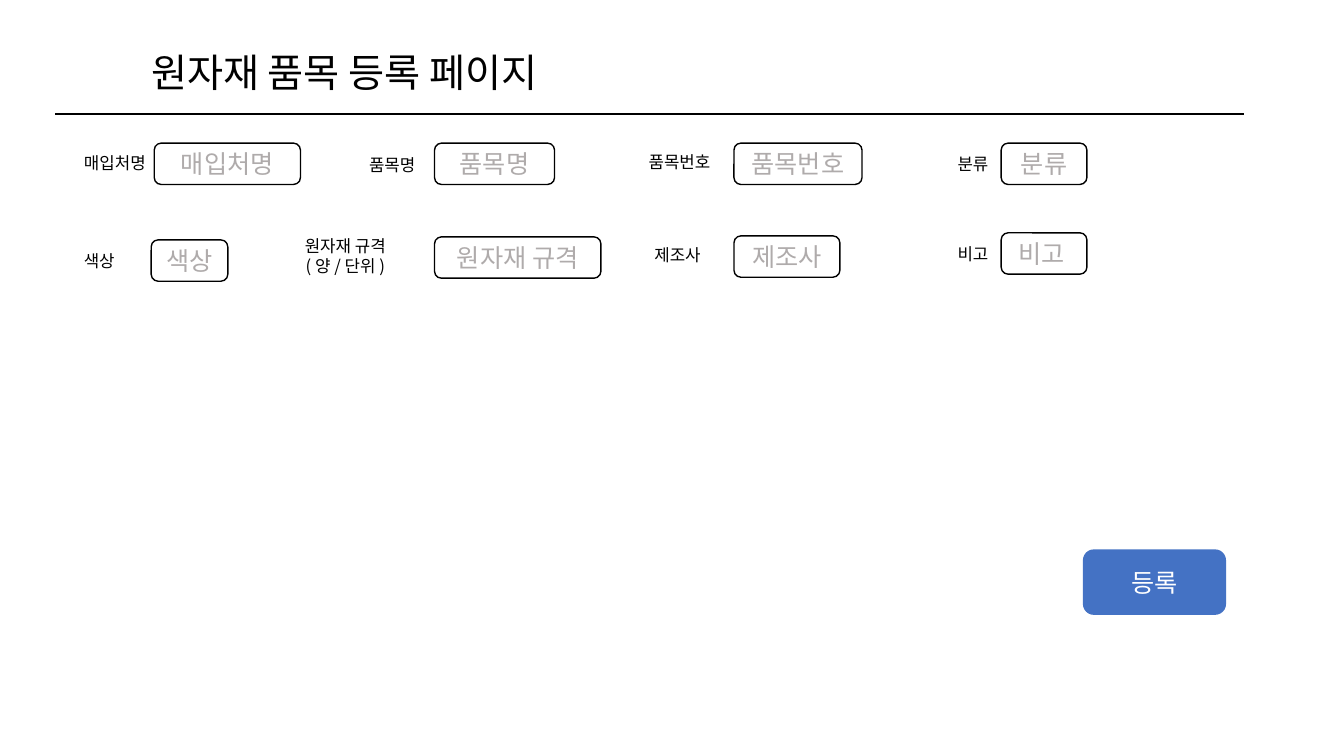
import pptx
import pptx.util
import pptx.dml.color
import pptx.enum.shapes
import pptx.enum.text
import lxml.etree

INK = {"black": "000000", "white": "FFFFFF", "gray": "AFABAB", "blue": "4472C4"}
FONT = "Noto Sans CJK KR"
NS = "{http://schemas.openxmlformats.org/drawingml/2006/main}"
Inches, Pt = pptx.util.Inches, pptx.util.Pt
ALIGN = pptx.enum.text.PP_ALIGN
TALL = 0.41


class Page:
    def __init__(self, deck):
        self.slide = deck.slides.add_slide(deck.slide_layouts[6])
        self.shapes = self.slide.shapes

    def color(self, name):
        return pptx.dml.color.RGBColor.from_string(INK[name])

    def label_text(self, frame, text, size, ink, align):
        frame.word_wrap = True
        para = frame.paragraphs[0]
        para.text = text
        para.alignment = align
        para.line_spacing = Pt(1.2 * size)
        font = para.font
        font.size = Pt(size)
        font.color.rgb = self.color(ink)
        font.name = FONT
        # East Asian typeface, next to the Latin one
        lxml.etree.SubElement(font._element, NS + "ea", typeface=FONT)

    def title(self, text, x, y, w, h):
        box = self.shapes.add_textbox(Inches(x), Inches(y), Inches(w), Inches(h))
        self.label_text(box.text_frame, text, 28, "black", ALIGN.LEFT)
        box.text_frame.auto_size = pptx.enum.text.MSO_AUTO_SIZE.SHAPE_TO_FIT_TEXT

    def rule(self, x, y, end):
        line = self.shapes.add_connector(
            pptx.enum.shapes.MSO_CONNECTOR.STRAIGHT,
            Inches(x), Inches(y), Inches(end), Inches(y))
        line.line.color.rgb = self.color("black")
        line.line.width = Pt(1.5)
        lxml.etree.SubElement(line._element.spPr, NS + "effectLst")

    def box(self, text, x, y, w, h=TALL, size=18, ink="black", fill=None, edge=None):
        box = self.shapes.add_shape(
            pptx.enum.shapes.MSO_SHAPE.ROUNDED_RECTANGLE,
            Inches(x), Inches(y), Inches(w), Inches(h))
        box.shadow.inherit = False
        if fill:
            box.fill.solid()
            box.fill.fore_color.rgb = self.color(fill)
        else:
            box.fill.background()
        if edge:
            box.line.color.rgb = self.color(edge)
            box.line.width = Pt(1)
        else:
            box.line.fill.background()
        box.text_frame.vertical_anchor = pptx.enum.text.MSO_ANCHOR.MIDDLE
        self.label_text(box.text_frame, text, size, ink, ALIGN.CENTER)

    def field(self, text, x, y, w):
        self.box(text, x, y, w, ink="gray", fill="white", edge="black")

    def label(self, text, x, y, w):
        self.box(text, x, y, w, size=12)


# Entry fields and labels: text, left, top, width
FIELDS = [
    ("매입처명", 1.53, 1.42, 1.45),
    ("품목명", 4.31, 1.42, 1.19),
    ("품목번호", 7.28, 1.42, 1.27),
    ("분류", 9.93, 1.42, 0.85),
    ("색상", 1.5, 2.38, 0.76),
    ("원자재 규격", 4.31, 2.35, 1.65),
    ("제조사", 7.28, 2.34, 1.05),
    ("비고 ", 9.93, 2.31, 0.85),
]
LABELS = [
    ("매입처명", 0.58, 1.41, 1.12),
    ("품목명", 3.52, 1.43, 0.74),
    ("품목번호", 6.18, 1.4, 1.12),
    ("분류", 9.09, 1.42, 1.12),
    ("색상", 0.55, 2.38, 0.87),
    ("원자재 규격\v( 양 / 단위 )", 2.54, 2.33, 1.77),
    ("제조사", 6.16, 2.32, 1.12),
    ("비고", 9.09, 2.31, 1.12),
]


def main():
    deck = pptx.Presentation()
    deck.slide_width, deck.slide_height = Inches(13.33), Inches(7.5)
    page = Page(deck)

    # Form
    for row in FIELDS:
        page.field(*row)

    # Submit button
    page.box("등록", 10.74, 5.45, 1.42, 0.65, ink="white", fill="blue")

    # Heading
    page.title("원자재 품목 등록 페이지", 1.4, 0.43, 7.6, 0.57)
    page.rule(0.55, 1.13, 12.34)

    # Labels
    for row in LABELS:
        page.label(*row)

    deck.save("out.pptx")


if __name__ == "__main__":
    main()
